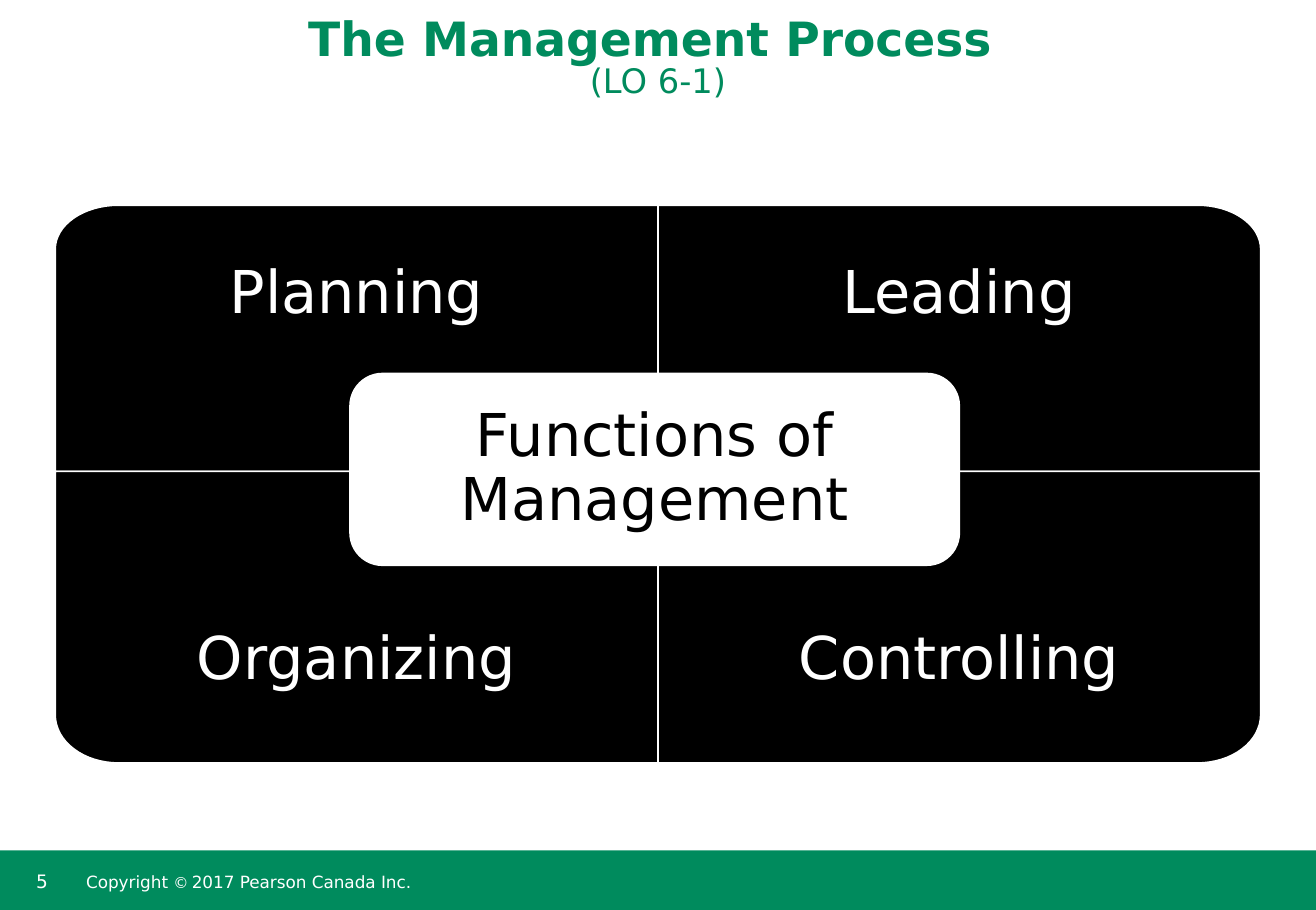
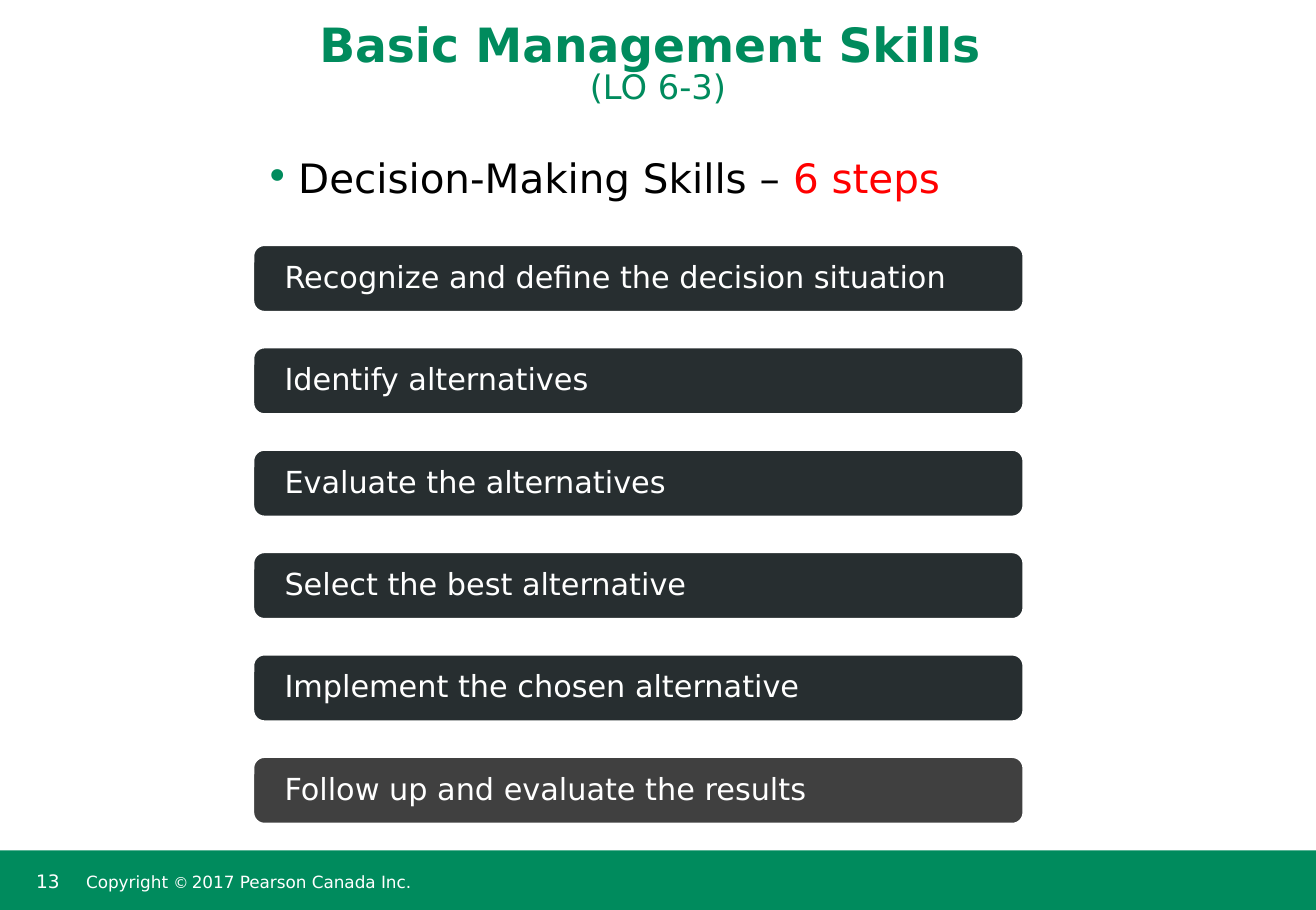
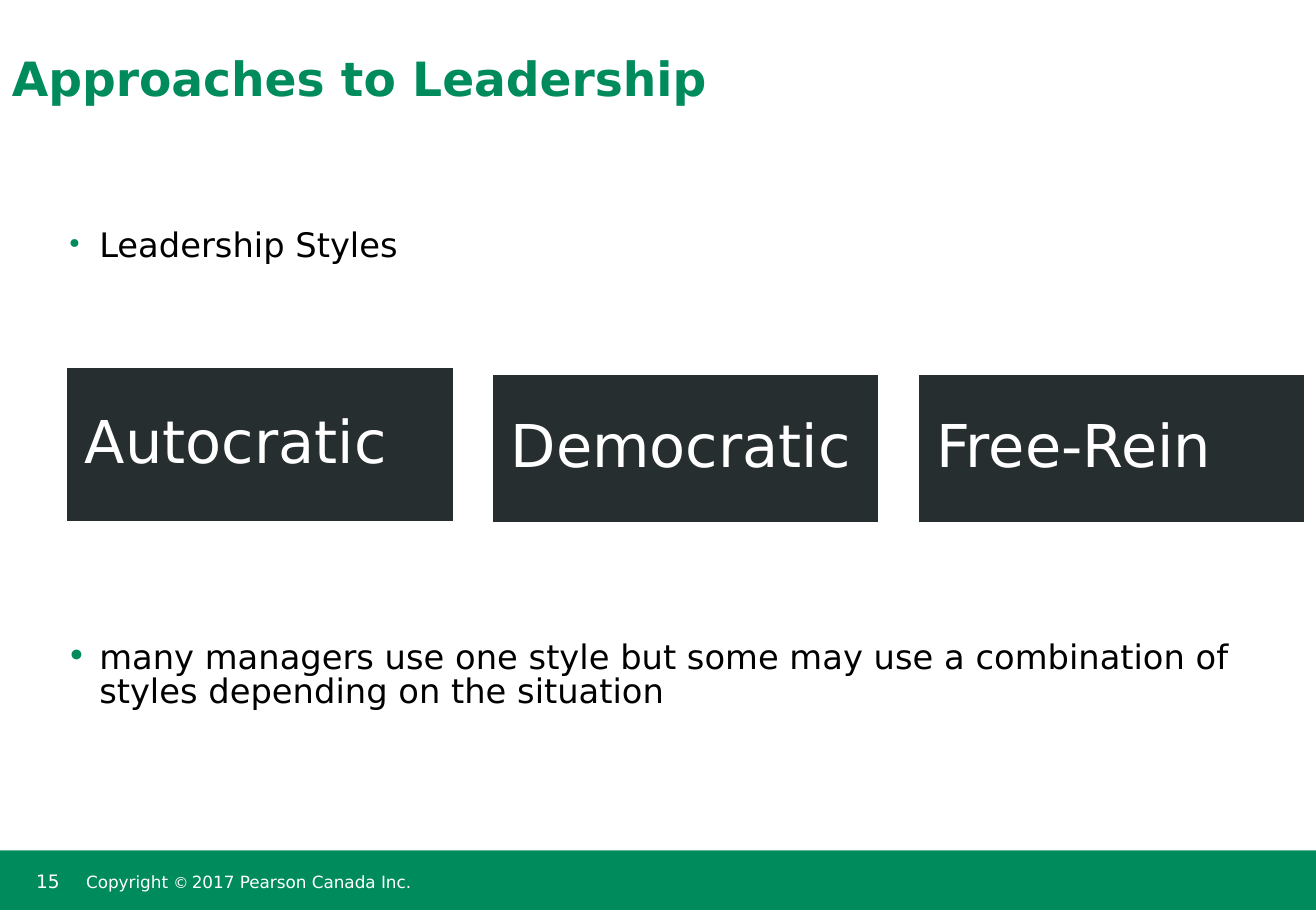
from dataclasses import dataclass
from math import cos, pi, sin
from typing import Optional, Sequence

from lxml.etree import SubElement
from pptx import Presentation
from pptx.dml.color import RGBColor
from pptx.enum.shapes import MSO_SHAPE as Preset
from pptx.enum.text import MSO_ANCHOR as Anchor, PP_ALIGN as Align
from pptx.oxml.ns import qn
from pptx.util import Inches, Pt


@dataclass(frozen=True)
class Theme:
    font: str = "DejaVu Sans"
    green: str = "008B5D"
    white: str = "FFFFFF"
    black: str = "000000"
    red: str = "FF0000"
    slate: str = "272E30"
    gray: str = "404040"
    title: float = 28
    display: float = 35
    lead: float = 24
    body: float = 20
    step: float = 18
    number: float = 11
    footer: float = 10
    symbol: float = 9
    thin_space: float = 6
    outline: float = 1
    tight: float = 0.85
    normal: float = 0.9
    hanging: float = 0.27


THEME = Theme()
SLIDE_WIDTH = Inches(10.85)
SLIDE_HEIGHT = Inches(7.5)
TEXT_INSETS = (0.1, 0.05, 0.1, 0.05)


@dataclass(frozen=True)
class Box:
    """A rectangle in percent of the slide's width and height."""
    left: float
    top: float
    width: float
    height: float

    def emu(self) -> tuple[int, int, int, int]:
        return (round(self.left / 100 * SLIDE_WIDTH),
                round(self.top / 100 * SLIDE_HEIGHT),
                round(self.width / 100 * SLIDE_WIDTH),
                round(self.height / 100 * SLIDE_HEIGHT))


@dataclass(frozen=True)
class Run:
    text: str
    size: float
    color: str = THEME.white
    bold: bool = False
    new_line: bool = False


@dataclass(frozen=True)
class Quadrant:
    label: str
    column: int
    row: int


FOOTER = Box(0, 93.45, 100, 6.6)
NUMBER = Box(1.84, 94.93, 4.33, 4.27)
COPYRIGHT = Box(6.08, 93.45, 53.27, 6.6)

QUADRANTS = (Quadrant("Planning", 0, 0), Quadrant("Leading", 1, 0),
             Quadrant("Organizing", 0, 1), Quadrant("Controlling", 1, 1))
QUADRANT_COLUMNS = (4.2, 50, 95.8)
QUADRANT_ROWS = (22.55, 51.8, 83.85)
CORNER_SHARE = (0.105, 0.165)
CORNER_STEPS = 16

STEPS = ("Recognize and define the decision situation",
         "Identify alternatives",
         "Evaluate the alternatives",
         "Select the best alternative",
         "Implement the chosen alternative",
         "Follow up and evaluate the results")
STEP_LEFT, STEP_TOP, STEP_PITCH = 19.26, 26.95, 11.25

STYLE_LEFT, STYLE_PITCH, STYLE_WIDTH = 5.07, 32.35, 29.4
STYLES = (("Autocratic", 40.4, 16.93),
          ("Democratic", 41.07, 16.4),
          ("Free-Rein", 41.07, 16.4))


def add_bullet(paragraph, size_percent: int) -> None:
    properties = paragraph._p.get_or_add_pPr()
    properties.set("marL", str(Inches(THEME.hanging)))
    properties.set("indent", str(-Inches(THEME.hanging)))
    color = SubElement(properties, qn("a:buClr"))
    SubElement(color, qn("a:srgbClr"), val=THEME.green)
    SubElement(properties, qn("a:buSzPct"), val=str(size_percent * 1000))
    SubElement(properties, qn("a:buFont"), typeface=THEME.font)
    SubElement(properties, qn("a:buChar"), char="•")


def write_text(shape, runs: Sequence[Run], *, align=Align.LEFT,
               anchor=Anchor.TOP, insets=TEXT_INSETS,
               spacing: float = THEME.tight,
               bullet_percent: Optional[int] = None) -> None:
    frame = shape.text_frame
    frame.word_wrap = True
    frame.vertical_anchor = anchor
    (frame.margin_left, frame.margin_top,
     frame.margin_right, frame.margin_bottom) = map(Inches, insets)
    paragraph = frame.paragraphs[0]
    if bullet_percent:
        add_bullet(paragraph, bullet_percent)
    paragraph.alignment = align
    paragraph.line_spacing = spacing
    for item in runs:
        if item.new_line:
            paragraph.add_line_break()
        run = paragraph.add_run()
        run.text = item.text
        run.font.name = THEME.font
        run.font.size = Pt(item.size)
        run.font.bold = item.bold
        run.font.color.rgb = RGBColor.from_string(item.color)


def add_text(slide, box: Box, runs: Sequence[Run], **text_format) -> None:
    write_text(slide.shapes.add_textbox(*box.emu()), runs, **text_format)


def paint(shape, fill: str, line: Optional[str] = THEME.white) -> None:
    shape.shadow.inherit = False
    shape.fill.solid()
    shape.fill.fore_color.rgb = RGBColor.from_string(fill)
    if line is None:
        shape.line.fill.background()
    else:
        shape.line.color.rgb = RGBColor.from_string(line)
        shape.line.width = Pt(THEME.outline)


def add_panel(slide, preset, box: Box, fill: str, run: Run,
              **text_format):
    """Add a preset shape with vertically centred text."""
    panel = slide.shapes.add_shape(preset, *box.emu())
    paint(panel, fill)
    write_text(panel, [run], anchor=Anchor.MIDDLE, spacing=THEME.normal,
               **text_format)
    return panel


def add_base_slide(presentation, number: int, title: str, title_height: float,
                   objective: str = "", align=Align.CENTER):
    """Add a slide with the shared footer band and title style."""
    slide = presentation.slides.add_slide(presentation.slide_layouts[6])
    band = slide.shapes.add_shape(Preset.RECTANGLE, *FOOTER.emu())
    paint(band, THEME.green, None)
    add_text(slide, NUMBER, [Run(str(number), THEME.number)], spacing=1.0)
    add_text(slide, COPYRIGHT,
             [Run("Copyright ", THEME.footer), Run("©", THEME.symbol),
              Run(" ", THEME.thin_space),
              Run("2017 Pearson Canada Inc.", THEME.footer)],
             anchor=Anchor.MIDDLE, insets=(0.05, 0.1, 0.05, 0.05))
    runs = [Run(title, THEME.title, THEME.green, bold=True)]
    if objective:
        runs.append(Run(objective, THEME.body, THEME.green, new_line=True))
    add_text(slide, Box(0, 0, 100, title_height), runs,
             align=align, anchor=Anchor.BOTTOM)
    return slide


def add_quadrant(slide, quadrant: Quadrant) -> None:
    """Draw a quarter of the matrix, rounded at its outer corner."""
    left, right = QUADRANT_COLUMNS[quadrant.column:quadrant.column + 2]
    top, bottom = QUADRANT_ROWS[quadrant.row:quadrant.row + 2]
    x, y, width, height = Box(left, top, right - left, bottom - top).emu()

    def place(across: float, down: float) -> tuple[int, int]:
        """Map shares measured from the outer corner to the slide."""
        return (round(x + width * (1 - across if quadrant.column else across)),
                round(y + height * (1 - down if quadrant.row else down)))

    radius_x, radius_y = CORNER_SHARE
    angles = [pi / 2 * step / CORNER_STEPS for step in range(CORNER_STEPS + 1)]
    corner = [place(radius_x * (1 - cos(angle)), radius_y * (1 - sin(angle)))
              for angle in angles]
    builder = slide.shapes.build_freeform(*place(0, 1))
    builder.add_line_segments(corner + [place(1, 0), place(1, 1)], close=True)
    shape = builder.convert_to_shape()
    paint(shape, THEME.black)
    vertical = (1.11, 0.39) if quadrant.row else (0.39, 1.11)
    write_text(shape, [Run(quadrant.label, THEME.display)],
               align=Align.CENTER, anchor=Anchor.MIDDLE, spacing=THEME.normal,
               insets=(0.39, vertical[0], 0.39, vertical[1]))


def build_process_slide(presentation) -> None:
    slide = add_base_slide(presentation, 5, "The Management Process ", 11.73,
                           "(LO 6-1)")
    for quadrant in QUADRANTS:
        add_quadrant(slide, quadrant)
    center = add_panel(slide, Preset.ROUNDED_RECTANGLE,
                       Box(26.6, 41.05, 46.3, 21.07), THEME.white,
                       Run("Functions of Management", THEME.display,
                           THEME.black),
                       align=Align.CENTER, insets=(0.21,) * 4)
    center.adjustments[0] = 0.17


def build_skills_slide(presentation) -> None:
    slide = add_base_slide(presentation, 13, "Basic Management Skills ", 12.4,
                           "(LO 6-3)")
    add_text(slide, Box(STEP_LEFT, 16.93, 56.5, 8.93),
             [Run("Decision-Making Skills – ", THEME.lead, THEME.black),
              Run("6 steps", THEME.lead, THEME.red)], bullet_percent=100)
    for index, step in enumerate(STEPS):
        is_last = index == len(STEPS) - 1
        add_panel(slide, Preset.ROUNDED_RECTANGLE,
                  Box(STEP_LEFT, STEP_TOP + index * STEP_PITCH, 58.5, 7.3),
                  THEME.gray if is_last else THEME.slate,
                  Run(step, THEME.step), insets=(0.23, 0, 0.23, 0))


def build_leadership_slide(presentation) -> None:
    slide = add_base_slide(presentation, 15, "Approaches to Leadership", 12.27,
                           align=Align.LEFT)
    add_text(slide, Box(4.15, 24.67, 91.7, 6.5),
             [Run("Leadership Styles", THEME.body, THEME.black)],
             bullet_percent=80)
    add_text(slide, Box(4.15, 69.87, 91.7, 10),
             [Run("many managers use one style but some may use a combination "
                  "of styles depending on the situation",
                  THEME.body, THEME.black)], bullet_percent=100)
    for index, (label, top, height) in enumerate(STYLES):
        add_panel(slide, Preset.RECTANGLE,
                  Box(STYLE_LEFT + index * STYLE_PITCH, top,
                      STYLE_WIDTH, height),
                  THEME.slate, Run(label, THEME.display), insets=(0.15,) * 4)


def main() -> None:
    presentation = Presentation()
    presentation.slide_width = SLIDE_WIDTH
    presentation.slide_height = SLIDE_HEIGHT
    build_process_slide(presentation)
    build_skills_slide(presentation)
    build_leadership_slide(presentation)
    presentation.save("out.pptx")


if __name__ == "__main__":
    main()
